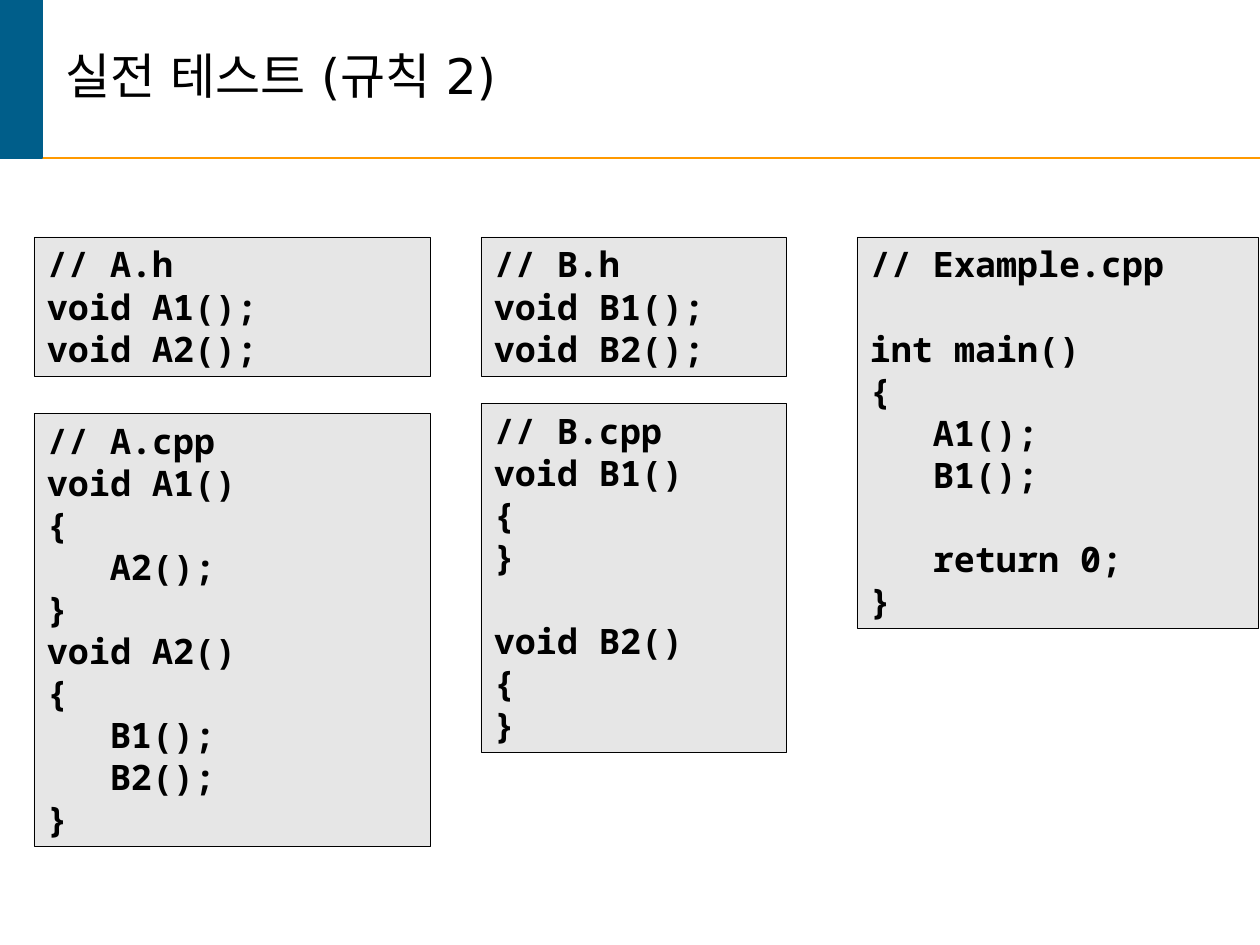
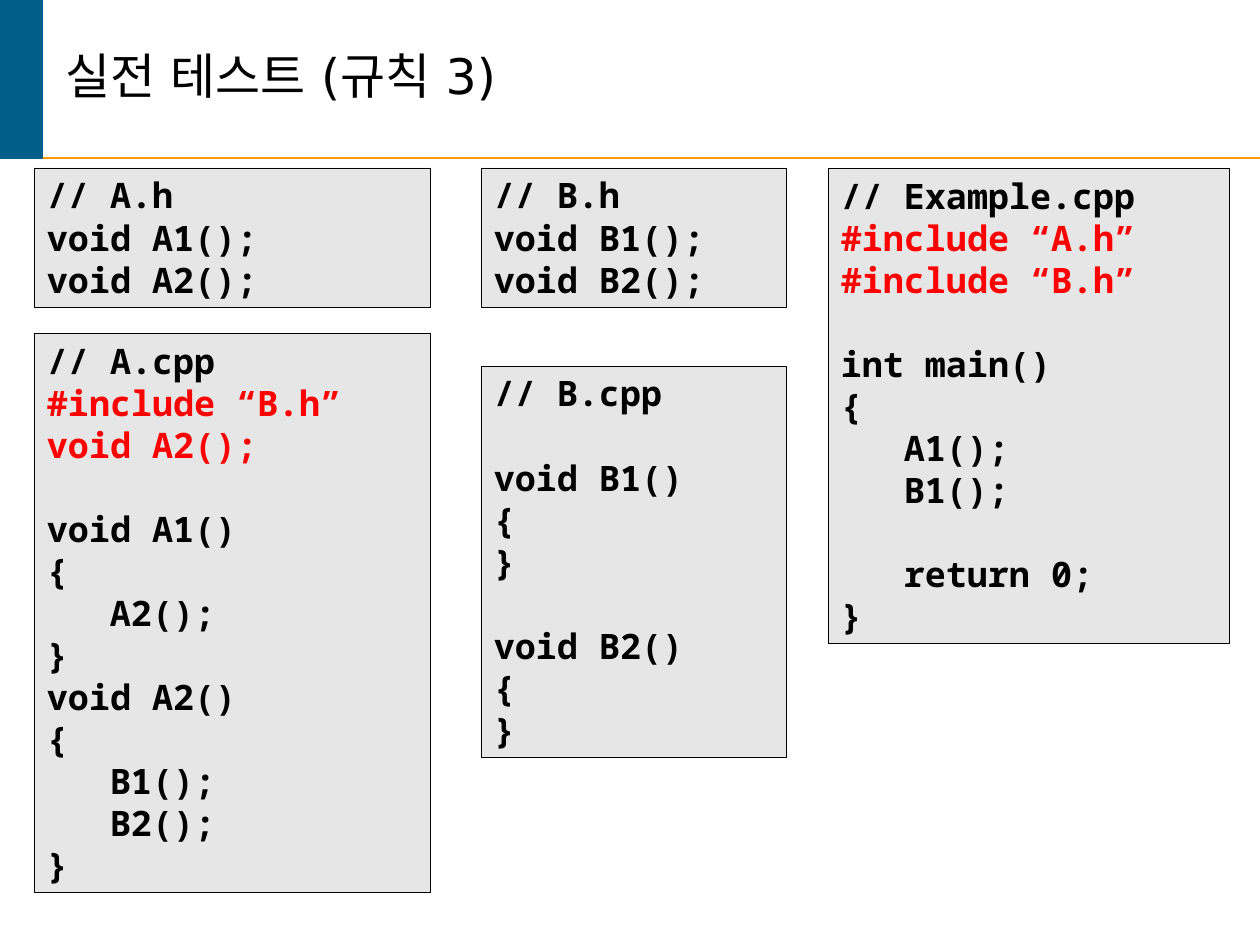
from dataclasses import dataclass

from pptx import Presentation
from pptx.dml.color import RGBColor
from pptx.enum.shapes import MSO_CONNECTOR as CONN, MSO_SHAPE as SHAPE
from pptx.enum.text import MSO_ANCHOR as ANCHOR, PP_ALIGN as ALIGN
from pptx.oxml.ns import qn
from pptx.util import Emu, Pt
from lxml import etree


@dataclass(frozen=True)
class Theme:
    ink: str = "000000"
    added: str = "FF0000"
    panel: str = "E6E6E6"
    bar: str = "005E8A"
    rule: str = "FF9900"
    title_font: str = "DejaVu Sans"
    code_font: str = "Noto Sans Mono"
    title_size: int = 28
    code_size: int = 20
    code_leading: int = 24


THEME = Theme()
SLIDE_W, SLIDE_H = 1260, 945
HEADER_H, BAR_W = 158, 42
LINE_H, PAD_X, PAD_Y = 42, 13, 6
A_COL, B_COL = (34, 396), (481, 305)
MAIN_W = 401


def px(n):
    return Emu(round(n * 914400 / 126))


def rgb(color):
    return RGBColor.from_string(color)


def add_text(p, text, *, size, font, color, bold=False, before=0, spacing=None):
    p.alignment = ALIGN.LEFT
    if before:
        p.space_before = Pt(before)
    if spacing:
        p.line_spacing = spacing
    r = p.add_run()
    r.text = text
    r.font.size, r.font.name, r.font.bold = Pt(size), font, bold
    r.font.color.rgb = rgb(color)
    etree.SubElement(r.font._element, qn("a:ea"), typeface=font)


def add_box(slide, box, fill, line, width):
    sp = slide.shapes.add_shape(SHAPE.RECTANGLE, *map(px, box))
    sp.shadow.inherit = False
    sp.fill.solid()
    sp.fill.fore_color.rgb = rgb(fill)
    sp.line.color.rgb = rgb(line)
    sp.line.width = Pt(width)
    return sp


def add_header(slide, title, box):
    x, y, w, h = box
    rule = slide.shapes.add_connector(CONN.STRAIGHT, px(x), px(y + h), px(x + w), px(y + h))
    rule.line.color.rgb = rgb(THEME.rule)
    rule.line.width = Pt(1.5)
    etree.SubElement(rule._element.spPr, qn("a:effectLst"))
    add_box(slide, (x, y, BAR_W, h), THEME.bar, THEME.bar, 1)

    left = x + BAR_W + 11
    tf = slide.shapes.add_textbox(px(left), px(y), px(w - left - 31), px(h)).text_frame
    tf.word_wrap = True
    tf.vertical_anchor = ANCHOR.MIDDLE
    add_text(tf.paragraphs[0], title, size=THEME.title_size, font=THEME.title_font,
             color=THEME.ink, spacing=0.85)


def add_code(slide, x, y, w, code, added=()):
    lines = code.split("\n")
    box = (x, y, w, len(lines) * LINE_H + 2 * PAD_Y + 1)
    tf = add_box(slide, box, THEME.panel, THEME.ink, 0.25).text_frame
    tf.word_wrap = True
    tf.vertical_anchor = ANCHOR.TOP
    tf.margin_left = tf.margin_right = px(PAD_X)
    tf.margin_top = tf.margin_bottom = px(PAD_Y)
    p, gap = tf.paragraphs[0], 0
    for i, line in enumerate(lines):
        if not line:
            gap += THEME.code_leading
            continue
        if i:
            p = tf.add_paragraph()
        add_text(p, line, size=THEME.code_size, font=THEME.code_font, bold=True,
                 color=THEME.added if line in added else THEME.ink, before=gap)
        gap = 0


def add_code_slide(prs, title, top, main_x, a_y, b_y, main_cpp, a_cpp, b_cpp, added=()):
    slide = prs.slides.add_slide(prs.slide_layouts[6])
    add_header(slide, title, (0, 0, SLIDE_W, HEADER_H))
    for (x, w), name, source_y, source in ((A_COL, "A", a_y, a_cpp), (B_COL, "B", b_y, b_cpp)):
        add_code(slide, x, top, w, f"// {name}.h\nvoid {name}1();\nvoid {name}2();")
        add_code(slide, x, source_y, w, f"// {name}.cpp\n{source}", added)
    add_code(slide, main_x, top, MAIN_W, f"// Example.cpp\n{main_cpp}", added)


MAIN_BODY = "\nint main()\n{\n\tA1();\n\tB1();\n\n\treturn 0;\n}"
A_BODY = "void A1()\n{\n\tA2();\n}\nvoid A2()\n{\n\tB1();\n\tB2();\n}"
B_BODY = "void B1()\n{\n}\n\nvoid B2()\n{\n}"
INCLUDE_A, INCLUDE_B = "#include “A.h”", "#include “B.h”"
DECLARE_A2 = "void A2();"


def main():
    prs = Presentation()
    prs.slide_width, prs.slide_height = px(SLIDE_W), px(SLIDE_H)
    add_code_slide(prs, "실전 테스트 (규칙 2)", top=237, main_x=857, a_y=413, b_y=403,
                   main_cpp=MAIN_BODY, a_cpp=A_BODY, b_cpp=B_BODY)
    add_code_slide(prs, "실전 테스트 (규칙 3)", top=168, main_x=828, a_y=333, b_y=366,
                   main_cpp=f"{INCLUDE_A}\n{INCLUDE_B}\n{MAIN_BODY}",
                   a_cpp=f"{INCLUDE_B}\n{DECLARE_A2}\n\n{A_BODY}",
                   b_cpp=f"\n{B_BODY}",
                   added=(INCLUDE_A, INCLUDE_B, DECLARE_A2))
    prs.save("out.pptx")


if __name__ == "__main__":
    main()
